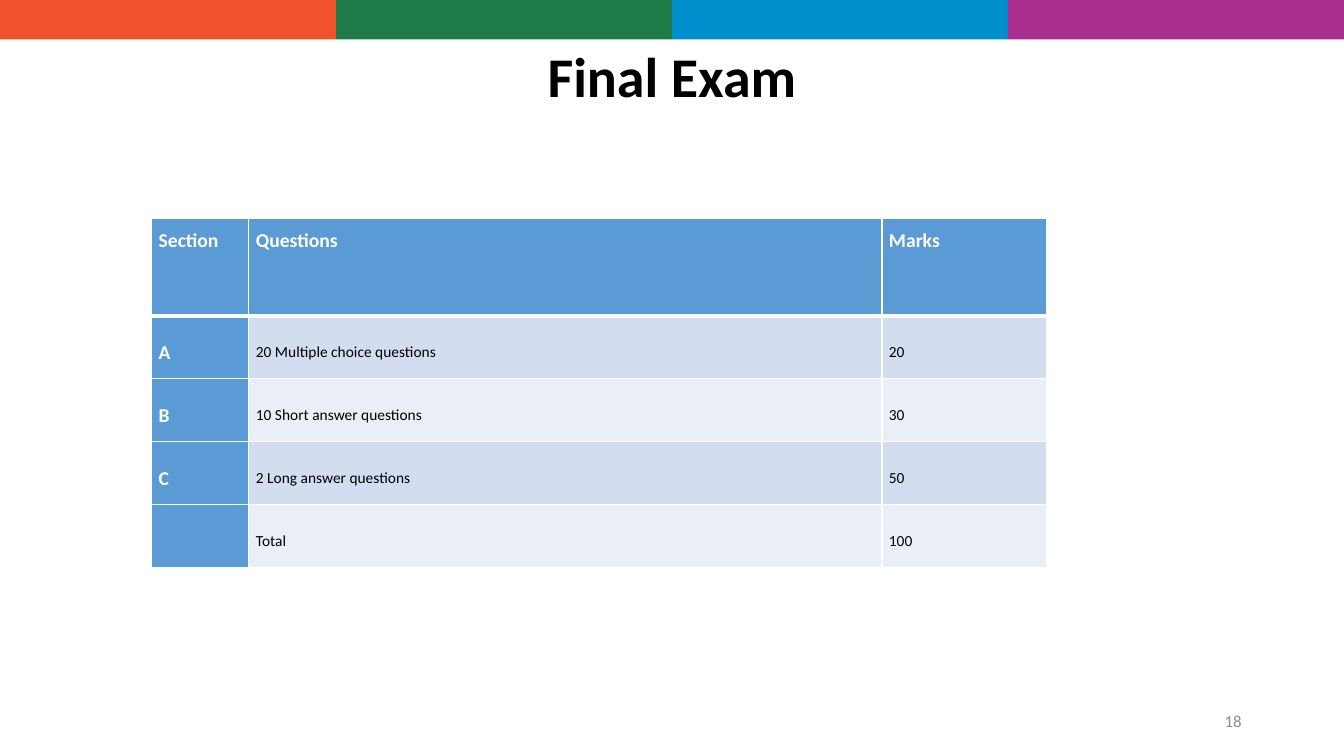
import dataclasses
import typing

import pptx
import pptx.dml.color
import pptx.enum.shapes
import pptx.enum.text
import pptx.oxml
import pptx.oxml.ns
import pptx.util

Pt = pptx.util.Pt
RGB = pptx.dml.color.RGBColor.from_string
ALIGN = pptx.enum.text.PP_ALIGN
ANCHOR = pptx.enum.text.MSO_ANCHOR


@dataclasses.dataclass(frozen=True)
class Theme:
    font: str = "Calibri"
    stripes: tuple[str, ...] = ("F0532C", "1E7B47", "008FCD", "AB2E91")
    ink: str = "000000"
    white: str = "FFFFFF"
    muted: str = "8C8C8C"
    header: str = "5B9BD5"
    bands: tuple[str, str] = ("D2DEEF", "EAEFF7")
    title_size: float = 40
    label_size: float = 14
    number_size: float = 12
    body_size: float = 11


@dataclasses.dataclass(frozen=True)
class Label:
    text: str
    left: float
    top: float
    width: float
    height: float
    size: float
    color: str
    align: typing.Any
    bold: bool = False


THEME = Theme()
SLIDE_W, SLIDE_H = 960, 540
STRIPE_H = 28.1

LABELS = (
    Label("Final Exam", 66, 28.8, 828, 55.4, THEME.title_size, THEME.ink, ALIGN.CENTER, True),
    Label("18", 678, 500.5, 216, 28.8, THEME.number_size, THEME.muted, ALIGN.RIGHT),
)

TABLE_LEFT, TABLE_TOP = 108.3, 155.8
COLUMN_WIDTHS = (69.5, 452.2, 117.4)
HEADER_H, ROW_H = 69.8, 45
EXAM_ROWS = (
    ("Section", "Questions", "Marks"),
    ("A", "20 Multiple choice questions", "20"),
    ("B", "10 Short answer questions", "30"),
    ("C", "2 Long answer questions", "50"),
    ("", "Total", "100"),
)


def apply(target: typing.Any, values: dict[str, typing.Any]) -> None:
    for name, value in values.items():
        setattr(target, name, value)


def write(p: typing.Any, text: str, size: float, color: str, bold: bool) -> None:
    font = p.font
    if text:
        r = p.add_run()
        r.text = text
        font = r.font
    apply(font, {"name": THEME.font, "size": Pt(size), "bold": bold})
    font.color.rgb = RGB(color)


def draw_stripe(slide: typing.Any, index: int, color: str) -> None:
    width = SLIDE_W / len(THEME.stripes)
    sp = slide.shapes.add_shape(
        pptx.enum.shapes.MSO_SHAPE.RECTANGLE,
        Pt(index * width), Pt(0), Pt(width), Pt(STRIPE_H),
    )
    sp.shadow.inherit = False
    sp.fill.solid()
    sp.fill.fore_color.rgb = RGB(color)
    sp.line.fill.background()


def draw_label(slide: typing.Any, label: Label) -> None:
    box = [Pt(v) for v in (label.left, label.top, label.width, label.height)]
    tf = slide.shapes.add_textbox(*box).text_frame
    apply(tf, {"word_wrap": True, "vertical_anchor": ANCHOR.MIDDLE})
    p = tf.paragraphs[0]
    apply(p, {"alignment": label.align, "line_spacing": 0.9 if label.bold else 1.0})
    write(p, label.text, label.size, label.color, label.bold)


def set_borders(cell: typing.Any, widths: dict[str, float]) -> None:
    tc_pr = cell._tc.get_or_add_tcPr()
    for side, width in widths.items():
        tc_pr.append(pptx.oxml.parse_xml(
            f'<a:ln{side} {pptx.oxml.ns.nsdecls("a")} w="{int(Pt(width))}">'
            f'<a:solidFill><a:srgbClr val="{THEME.white}"/></a:solidFill></a:ln{side}>'
        ))


def draw_cell(cell: typing.Any, row: int, col: int, text: str) -> None:
    is_label = row == 0 or col == 0
    # Borders precede the fill in the cell properties
    set_borders(cell, {"L": 1, "R": 1, "T": 3 if row == 1 else 1, "B": 3 if row == 0 else 1})
    cell.fill.solid()
    cell.fill.fore_color.rgb = RGB(THEME.header if is_label else THEME.bands[(row - 1) % 2])
    apply(cell, {
        "margin_left": Pt(5), "margin_top": Pt(6.5),
        "margin_right": Pt(3.6), "margin_bottom": Pt(0),
        "vertical_anchor": ANCHOR.TOP if row == 0 else ANCHOR.MIDDLE,
    })
    p = cell.text_frame.paragraphs[0]
    p.line_spacing = 1.07
    write(
        p, text,
        THEME.label_size if is_label else THEME.body_size,
        THEME.white if is_label else THEME.ink,
        is_label,
    )


def draw_exam_table(slide: typing.Any) -> None:
    heights = [HEADER_H] + [ROW_H] * (len(EXAM_ROWS) - 1)
    table = slide.shapes.add_table(
        len(EXAM_ROWS), len(COLUMN_WIDTHS), Pt(TABLE_LEFT), Pt(TABLE_TOP),
        Pt(sum(COLUMN_WIDTHS)), Pt(sum(heights)),
    ).table
    apply(table, {"first_col": True, "first_row": True, "horz_banding": True})
    for column, width in zip(table.columns, COLUMN_WIDTHS):
        column.width = Pt(width)
    for row, height in zip(table.rows, heights):
        row.height = Pt(height)
    for r, texts in enumerate(EXAM_ROWS):
        for c, text in enumerate(texts):
            draw_cell(table.cell(r, c), r, c, text)


def main() -> None:
    prs = pptx.Presentation()
    apply(prs, {"slide_width": Pt(SLIDE_W), "slide_height": Pt(SLIDE_H)})
    slide = prs.slides.add_slide(prs.slide_layouts[6])

    # Colour band along the top
    for index, color in enumerate(THEME.stripes):
        draw_stripe(slide, index, color)

    # Title and slide number
    for label in LABELS:
        draw_label(slide, label)

    # Exam sections and marks
    draw_exam_table(slide)

    prs.save("out.pptx")


if __name__ == "__main__":
    main()
